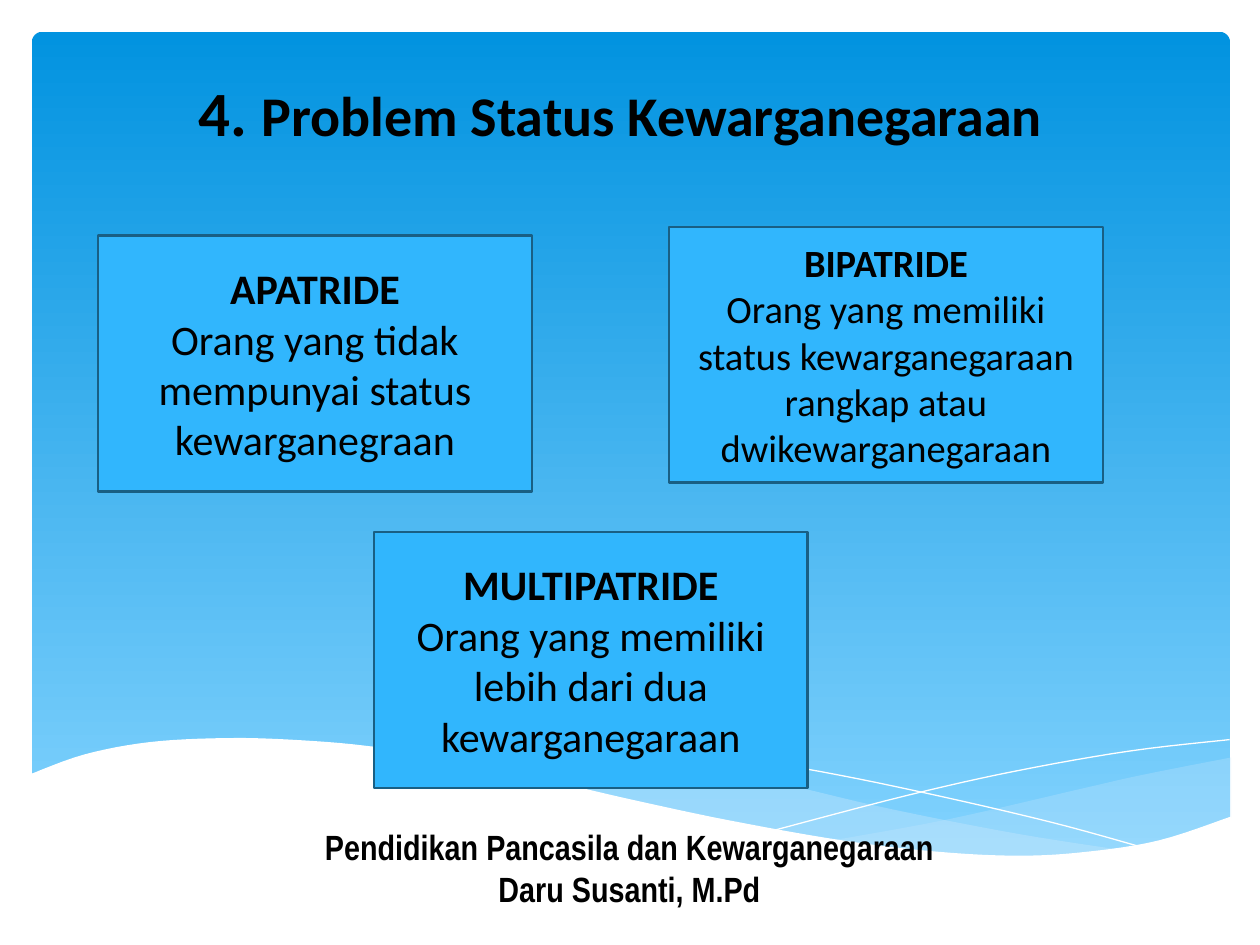
from lxml import etree
from pptx import Presentation
from pptx.dml.color import RGBColor
from pptx.enum.shapes import MSO_SHAPE
from pptx.enum.text import MSO_ANCHOR, MSO_AUTO_SIZE, PP_ALIGN
from pptx.oxml.ns import qn
from pptx.util import Cm, Pt

RECT, ROUNDED = MSO_SHAPE.RECTANGLE, MSO_SHAPE.ROUNDED_RECTANGLE
TOP, MIDDLE = MSO_ANCHOR.TOP, MSO_ANCHOR.MIDDLE
GROW, FIXED = MSO_AUTO_SIZE.SHAPE_TO_FIT_TEXT, MSO_AUTO_SIZE.NONE
CENTER = PP_ALIGN.CENTER

BLACK = RGBColor(0x00, 0x00, 0x00)
WHITE = RGBColor(0xFF, 0xFF, 0xFF)
SKY_TOP = RGBColor(0x02, 0x93, 0xE0)
SKY_BOTTOM = RGBColor(0x83, 0xD3, 0xFE)
WAVE = RGBColor(0xC6, 0xE7, 0xFC)
BOX_FILL = RGBColor(0x31, 0xB6, 0xFD)
BOX_LINE = RGBColor(0x19, 0x5F, 0x84)

BOX_WIDTH, BOX_HEIGHT = 8.74, 5.16
BOXES = [
    (1.98, 4.75, 24, "APATRIDE", "Orang yang tidak mempunyai status kewarganegraan"),
    (7.54, 10.72, 24, "MULTIPATRIDE", "Orang yang memiliki lebih dari dua kewarganegaraan"),
    (13.49, 4.57, 22, "BIPATRIDE",
     "Orang yang memiliki status kewarganegaraan rangkap atau dwikewarganegaraan"),
]

RIGHT_WAVE = [
    [(24.82, 15.27), (23.04, 15.62), (21.89, 15.88), (19.15, 16.51), (16.81, 16.94)],
    [(16.81, 16.94), (18.26, 17.12), (20.42, 17.27), (22.17, 17.17), (23.42, 16.94),
     (24.82, 16.48)],
]
MIDDLE_WAVE = [
    [(22.71, 17.15), (20.52, 16.81), (17.96, 16.31), (16, 15.85), (14.1, 15.42),
     (12.42, 15.14), (10.67, 14.96), (9.19, 14.91), (7.29, 15.06)],
    [(7.29, 15.06), (9.22, 15.34), (11.43, 15.85), (13.46, 16.31), (15.72, 16.76),
     (18.03, 17.12), (20.24, 17.27), (22.71, 17.15)],
]
FALLING_LINE = [(7.87, 15.16), (8.97, 15.01), (10.59, 14.96), (12.42, 15.04), (14.15, 15.19),
                (16.18, 15.49), (18.49, 15.95), (21.13, 16.56), (23.06, 17.09)]
RISING_LINE = [(15.6, 16.74), (18.31, 16.03), (20.5, 15.54), (22.78, 15.14), (24.79, 14.91)]
WHITE_WAVE = [
    [(24.82, 16.46), (23.37, 16.94), (21.92, 17.17), (20.55, 17.25), (18.9, 17.17),
     (16.97, 16.94), (14.71, 16.54), (12.78, 16.13), (11.35, 15.8), (9.27, 15.34),
     (7.42, 15.04), (5.84, 14.91), (4.5, 14.88), (3.02, 14.96), (1.7, 15.21), (0.58, 15.62)],
    [(0.58, 18.57), (24.82, 18.57)],
]


def smooth_curve(knots, steps=6):
    """Return points of a Catmull-Rom curve through the knots."""
    padded = [knots[0], *knots, knots[-1]]
    points = [knots[0]]
    for a, b, c, d in zip(padded, padded[1:], padded[2:], padded[3:]):
        for i in range(1, steps + 1):
            t = i / steps
            points.append(tuple(
                (2 * q + (r - p) * t + (2 * p - 5 * q + 4 * r - s) * t ** 2
                 + (3 * q - p - 3 * r + s) * t ** 3) / 2
                for p, q, r, s in zip(a, b, c, d)))
    return points


def add_outline(s, curves, closed):
    """Draw smooth curves joined end to end as one freeform."""
    points = [(Cm(x), Cm(y)) for knots in curves for x, y in smooth_curve(knots)]
    builder = s.shapes.build_freeform(*points[0])
    builder.add_line_segments(points[1:], close=closed)
    sp = builder.convert_to_shape()
    sp.shadow.inherit = False
    return sp


def add_wave(s, curves, color, opacity=100):
    """Add a filled wave with the given opacity in percent."""
    sp = add_outline(s, curves, True)
    sp.fill.solid()
    sp.fill.fore_color.rgb = color
    sp.line.fill.background()
    if opacity < 100:
        clr = sp.element.spPr.find(qn("a:solidFill"))[0]
        etree.SubElement(clr, qn("a:alpha")).set("val", str(opacity * 1000))


def add_thin_line(s, knots):
    """Add a white hairline curve."""
    sp = add_outline(s, [knots], False)
    sp.fill.background()
    sp.line.color.rgb = WHITE
    sp.line.width = Pt(0)


def add_sky(s):
    """Add the rounded gradient panel."""
    sp = s.shapes.add_shape(ROUNDED, Cm(0.64), Cm(0.64), Cm(24.16), Cm(16.76))
    sp.adjustments[0] = 0.013
    sp.shadow.inherit = False
    sp.line.fill.background()
    sp.fill.gradient()
    sp.fill.gradient_angle = 270
    for stop, color, position in zip(sp.fill.gradient_stops, (SKY_TOP, SKY_BOTTOM), (0, 1)):
        stop.color.rgb = color
        stop.position = position


def write_text(sp, paragraphs, font, anchor, auto_size):
    """Write centred paragraphs made of (text, size, bold) runs."""
    tf = sp.text_frame
    tf.word_wrap = True
    tf.auto_size = auto_size
    tf.vertical_anchor = anchor
    for i, runs in enumerate(paragraphs):
        p = tf.add_paragraph() if i else tf.paragraphs[0]
        p.alignment = CENTER
        for text, size, bold in runs:
            r = p.add_run()
            r.text = text
            r.font.name = font
            r.font.size = Pt(size)
            r.font.bold = bold
            r.font.color.rgb = BLACK


def add_title(s):
    """Place the title above the background and fill it."""
    sp = s.shapes.title
    s.shapes.element.append(sp.element)
    sp.left, sp.top, sp.width, sp.height = Cm(0.71), Cm(1.35), Cm(23.6), Cm(1.8)
    runs = [("4. ", 36, True), ("Problem Status Kewarganegaraan", 32, True)]
    write_text(sp, [runs], "Calibri", TOP, GROW)


def add_credit(s):
    """Add the course and lecturer lines at the bottom."""
    sp = s.shapes.add_textbox(Cm(0.89), Cm(16.51), Cm(23.6), Cm(1.96))
    lines = ("Pendidikan Pancasila dan Kewarganegaraan", "Daru Susanti, M.Pd")
    write_text(sp, [[(line, 20, True)] for line in lines], "Arial Narrow", TOP, GROW)


def add_status_box(s, left, top, size, heading, meaning):
    """Add a box with a status name and its meaning."""
    sp = s.shapes.add_shape(RECT, Cm(left), Cm(top), Cm(BOX_WIDTH), Cm(BOX_HEIGHT))
    sp.shadow.inherit = False
    sp.fill.solid()
    sp.fill.fore_color.rgb = BOX_FILL
    sp.line.color.rgb = BOX_LINE
    sp.line.width = Pt(1.25)
    write_text(sp, [[(heading, size, True)], [(meaning, size, False)]], "Calibri", MIDDLE, FIXED)


def main():
    """Build and save the slide."""
    prs = Presentation()
    prs.slide_width, prs.slide_height = Cm(25.4), Cm(19.05)
    s = prs.slides.add_slide(prs.slide_layouts[5])
    add_sky(s)
    add_wave(s, RIGHT_WAVE, WAVE, 29)
    add_wave(s, MIDDLE_WAVE, WAVE, 40)
    add_thin_line(s, FALLING_LINE)
    add_thin_line(s, RISING_LINE)
    add_wave(s, WHITE_WAVE, WHITE)
    add_credit(s)
    add_title(s)
    for box in BOXES:
        add_status_box(s, *box)
    prs.save("out.pptx")


if __name__ == "__main__":
    main()
